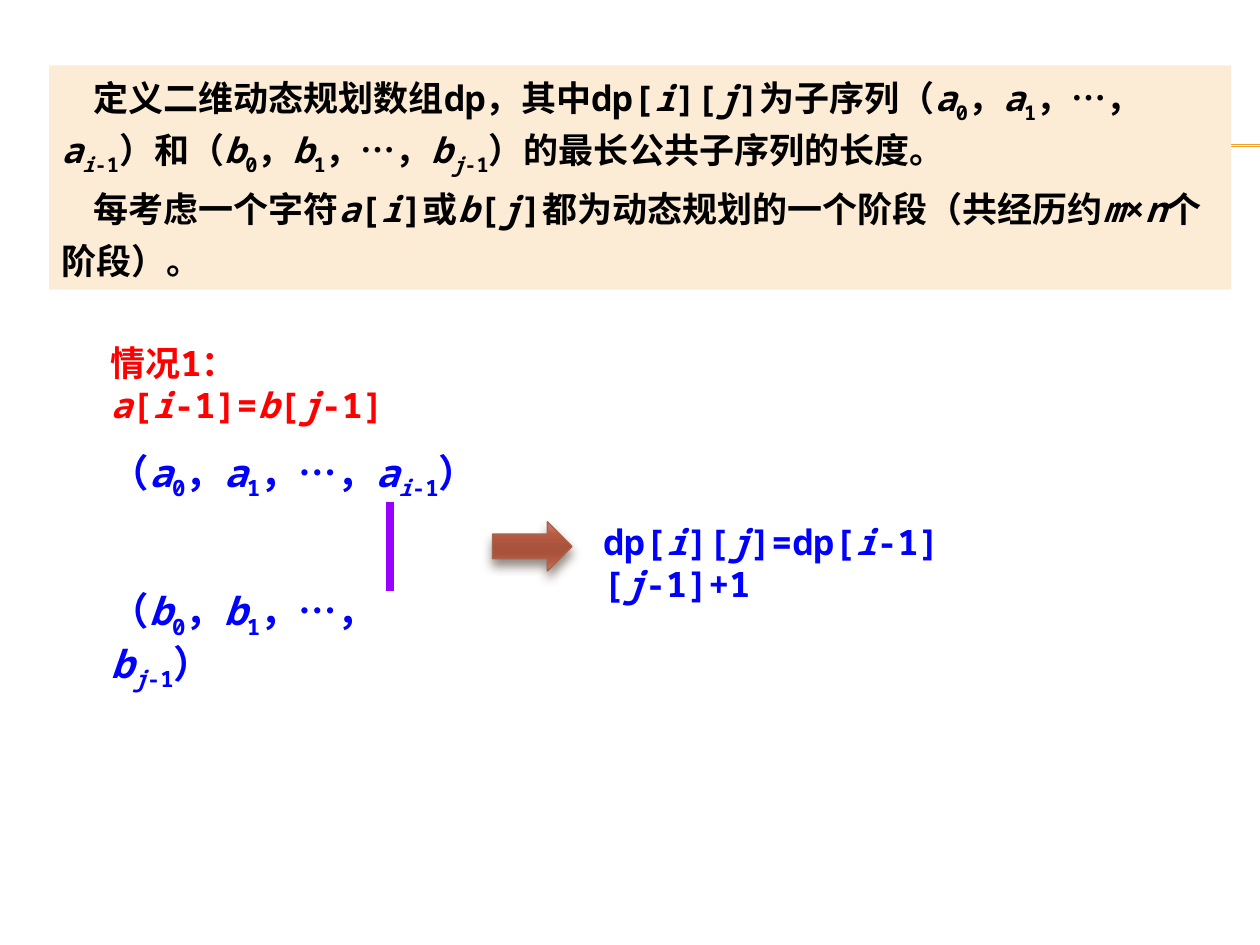
import pptx
import pptx.util
import pptx.dml.color
import pptx.enum.shapes
import pptx.enum.text
import pptx.oxml
import pptx.oxml.ns
import lxml.etree

Cm = pptx.util.Cm
Pt = pptx.util.Pt
SHAPES = pptx.enum.shapes.MSO_SHAPE
THEME = {
    "font": "Noto Sans Mono",
    "body": 20,
    "sequence": 22,
    "black": "000000",
    "red": "FF0000",
    "blue": "0000FF",
    "panel": "FCECD5",
    "rule": "F0A22E",
    "match": "9900FF",
    "arrow_line": "A5644E",
    "arrow_shadow": "4E3B30",
    "arrow_stops": [(0, "CD8473"), (25, "B75B42"), (50, "AA533C"),
                    (65, "AA533C"), (80, "B65B42"), (100, "C77D6B")],
}


def color(name):
    return pptx.dml.color.RGBColor.from_string(THEME[name])


def write(para, markup, size, ink):
    para.alignment = pptx.enum.text.PP_ALIGN.LEFT
    para.font.name = THEME["font"]
    para.font.size = Pt(THEME[size])
    para.font.bold = True
    para.font.color.rgb = color(ink)
    for level, part in enumerate(markup.split("_")):
        for slant, words in enumerate(part.split("*")):
            if words:
                span = para.add_run()
                span.text = words
                if slant % 2:
                    span.font.italic = True
                if level % 2:
                    span.font._element.set("baseline", "-25000")


deck = pptx.Presentation()
deck.slide_width = Cm(25.4)
deck.slide_height = Cm(19.05)
page = deck.slides.add_slide(deck.slide_layouts[6])

lines = [
    (1.42, 2.92, 25.4, 2.92, "rule", 0.75),
    (1.42, 2.95, 25.4, 2.95, "rule", 0.75),
    (7.87, 10.11, 7.87, 11.91, "match", 4.5),
]
for x1, y1, x2, y2, ink, width in lines:
    line = page.shapes.add_connector(
        pptx.enum.shapes.MSO_CONNECTOR.STRAIGHT, Cm(x1), Cm(y1), Cm(x2), Cm(y2))
    line.line.color.rgb = color(ink)
    line.line.width = Pt(width)
    lxml.etree.SubElement(line._element.spPr, pptx.oxml.ns.qn("a:effectLst"))

panel = page.shapes.add_shape(SHAPES.RECTANGLE, Cm(0.99), Cm(1.32), Cm(23.83), Cm(4.52))
panel.shadow.inherit = False
panel.fill.solid()
panel.fill.fore_color.rgb = color("panel")
panel.line.fill.background()
panel.text_frame.word_wrap = True
panel.text_frame.vertical_anchor = pptx.enum.text.MSO_ANCHOR.TOP
definition = [
    "定义二维动态规划数组dp，其中dp[*i*][*j*]为子序列（*a*_0_，*a*_1_，…，*a*_*i*-1_）"
    "和（*b*_0_，*b*_1_，…，*b*_*j*-1_）的最长公共子序列的长度。",
    "每考虑一个字符*a*[*i*]或*b*[*j*]都为动态规划的一个阶段（共经历约*m*×*n*个阶段）。",
]
panel.text_frame.add_paragraph()
for para, markup in zip(panel.text_frame.paragraphs, definition):
    write(para, markup, "body", "black")
    para.line_spacing = Pt(30)
    para._p.get_or_add_pPr().set("indent", str(Cm(0.64)))

labels = [
    (1.98, 6.76, 8.33, 1.12, "情况1：*a*[*i*-1]=*b*[*j*-1]", "body", "red"),
    (1.98, 8.92, 7.95, 1.19, "（*a*_0_，*a*_1_，…，*a*_*i*-1_）", "sequence", "blue"),
    (1.98, 11.71, 7.34, 1.19, "（*b*_0_，*b*_1_，…，*b*_*j*-1_）", "sequence", "blue"),
    (11.91, 10.36, 9.53, 1.12, "dp[*i*][*j*]=dp[*i*-1][*j*-1]+1", "body", "blue"),
]
for left, top, width, height, markup, size, ink in labels:
    box = page.shapes.add_textbox(Cm(left), Cm(top), Cm(width), Cm(height))
    box.text_frame.word_wrap = True
    write(box.text_frame.paragraphs[0], markup, size, ink)

arrow = page.shapes.add_shape(SHAPES.RIGHT_ARROW, Cm(9.93), Cm(10.52), Cm(1.6), Cm(0.99))
arrow.shadow.inherit = False
arrow.line.color.rgb = color("arrow_line")
arrow.line.width = Pt(0.79)
arrow.fill.gradient()
arrow.fill.gradient_angle = 270
stops = arrow._element.spPr.find(".//" + pptx.oxml.ns.qn("a:gsLst"))
for stop in list(stops):
    stops.remove(stop)
for position, ink in THEME["arrow_stops"]:
    stop = lxml.etree.SubElement(stops, pptx.oxml.ns.qn("a:gs"), pos=str(position * 1000))
    lxml.etree.SubElement(stop, pptx.oxml.ns.qn("a:srgbClr"), val=ink)
effects = arrow._element.spPr.find(pptx.oxml.ns.qn("a:effectLst"))
shadow = lxml.etree.SubElement(
    effects, pptx.oxml.ns.qn("a:outerShdw"), blurRad=str(Pt(6)), dist=str(Pt(4)),
    dir="5400000", rotWithShape="0")
tint = lxml.etree.SubElement(shadow, pptx.oxml.ns.qn("a:srgbClr"), val=THEME["arrow_shadow"])
lxml.etree.SubElement(tint, pptx.oxml.ns.qn("a:alpha"), val="60000")

deck.save("out.pptx")
